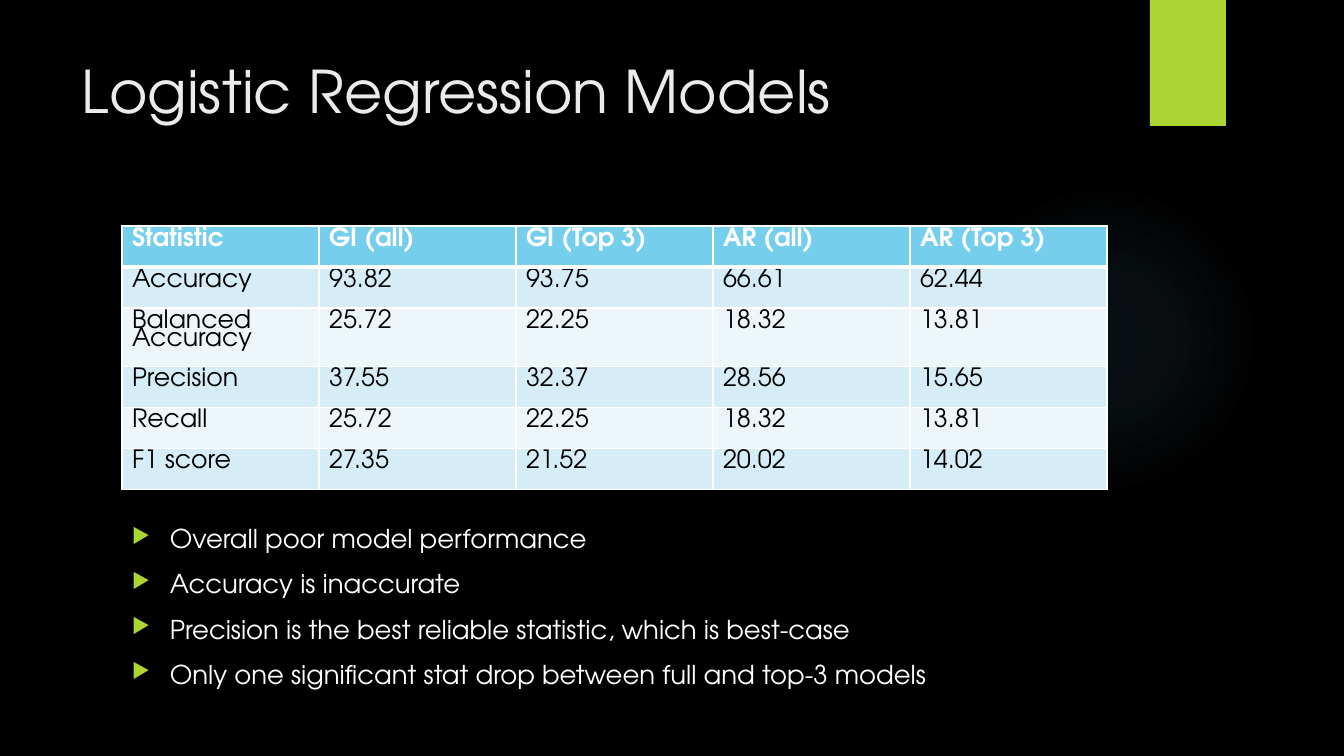
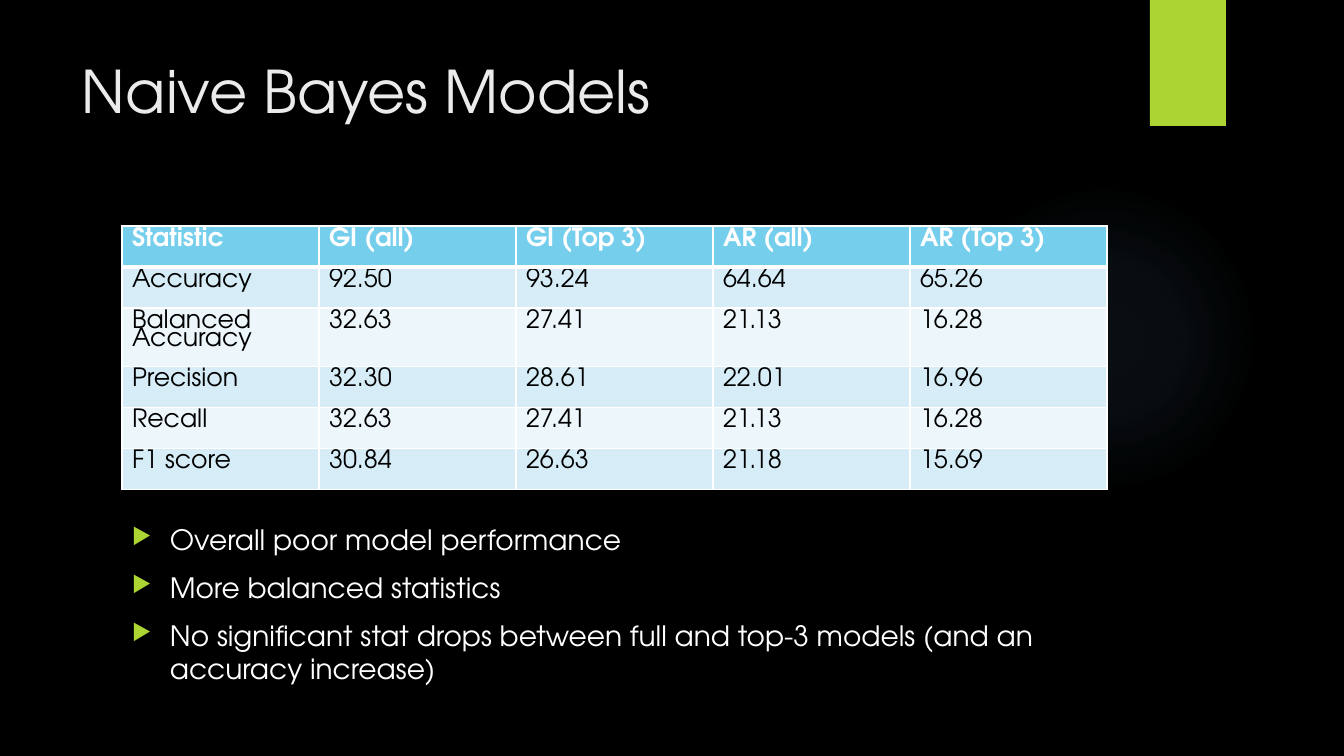
from lxml import etree
from pptx import Presentation
from pptx.dml.color import RGBColor
from pptx.enum.shapes import MSO_SHAPE
from pptx.oxml import parse_xml
from pptx.oxml.ns import qn
from pptx.util import Emu, Pt

OVAL, RECTANGLE = MSO_SHAPE.OVAL, MSO_SHAPE.RECTANGLE
BLACK = RGBColor(0x00, 0x00, 0x00)
WHITE = RGBColor(0xFF, 0xFF, 0xFF)
TITLE_GREY = RGBColor(0xEB, 0xEB, 0xEB)
LIME = RGBColor(0xAC, 0xD4, 0x33)
GLOW_BLUE = RGBColor(0x7A, 0xC4, 0xF0)
HEADER_BLUE = RGBColor(0x75, 0xCE, 0xEC)
BANDS = (RGBColor(0xD6, 0xED, 0xF8), RGBColor(0xEC, 0xF6, 0xFB))

FONT = "TeX Gyre Adventor"
NAMESPACE = "http://schemas.openxmlformats.org/drawingml/2006/main"
PAGE_SIZE = (1344, 756)
GLOW_BOX = (949, 184, 310, 310)
TAB_BOX = (1150, 0, 76, 126)
TITLE_BOX = (72, 50, 1037, 154)
TABLE_BOX = (122, 226, 985, 246)
BULLET_BOX = (122, 518, 986, 190)
BULLET_INDENT = 38
GLOW_STOPS = ((0, 7), (36, 6), (69, 0))

HEADINGS = ("Statistic", "GI (all)", "GI (Top 3)", "AR (all)", "AR (Top 3)")
SLIDES = (
    {
        "title": "Logistic Regression Models",
        "rows": (
            ("Accuracy", "93.82", "93.75", "66.61", "62.44"),
            ("Balanced Accuracy", "25.72", "22.25", "18.32", "13.81"),
            ("Precision", "37.55", "32.37", "28.56", "15.65"),
            ("Recall", "25.72", "22.25", "18.32", "13.81"),
            ("F1 score", "27.35", "21.52", "20.02", "14.02"),
        ),
        "bullets": (
            "Overall poor model performance",
            "Accuracy is inaccurate",
            "Precision is the best reliable statistic, which is best-case",
            "Only one significant stat drop between full and top-3 models",
        ),
        "bullet_size": 18.5,
    },
    {
        "title": "Naive Bayes Models",
        "rows": (
            ("Accuracy", "92.50", "93.24", "64.64", "65.26"),
            ("Balanced Accuracy", "32.63", "27.41", "21.13", "16.28"),
            ("Precision", "32.30", "28.61", "22.01", "16.96"),
            ("Recall", "32.63", "27.41", "21.13", "16.28"),
            ("F1 score", "30.84", "26.63", "21.18", "15.69"),
        ),
        "bullets": (
            "Overall poor model performance",
            "More balanced statistics",
            "No significant stat drops between full and top-3 models "
            "(and an accuracy increase)",
        ),
        "bullet_size": 20,
    },
)


def px(length):
    """Turn pixels into EMU."""
    return Emu(round(length * 12192000 / PAGE_SIZE[0]))


def place(box):
    """Turn a pixel box into EMU."""
    return [px(length) for length in box]


def write(para, text, size, color, bold=False):
    """Add one formatted run to a paragraph."""
    span = para.add_run()
    span.text = text
    formats = {"name": FONT, "size": Pt(size), "bold": bold}
    for name, value in formats.items():
        setattr(span.font, name, value)
    span.font.color.rgb = color


def add_plain_shape(page, kind, box):
    """Add a preset shape without line or shadow."""
    shape = page.shapes.add_shape(kind, *place(box))
    shape.shadow.inherit = False
    shape.line.fill.background()
    return shape


def add_text_frame(page, box):
    """Add a wrapping text box and return its frame."""
    frame = page.shapes.add_textbox(*place(box)).text_frame
    frame.word_wrap = True
    return frame


def add_glow(page, box):
    """Add the faint round glow."""
    glow = add_plain_shape(page, OVAL, box)
    stops = "".join(
        f'<a:gs pos="{position * 1000}"><a:srgbClr val="{GLOW_BLUE}">'
        f'<a:alpha val="{alpha * 1000}"/></a:srgbClr></a:gs>'
        for position, alpha in GLOW_STOPS
    )
    gradient = parse_xml(
        f'<a:gradFill xmlns:a="{NAMESPACE}" rotWithShape="1"><a:gsLst>{stops}</a:gsLst>'
        '<a:path path="circle"><a:fillToRect l="50000" t="50000" r="50000" b="50000"/>'
        "</a:path></a:gradFill>"
    )
    properties = glow.fill._xPr
    properties.find(qn("a:prstGeom")).addnext(gradient)


def add_frame(page, title):
    """Add the background, glow, lime tab and title."""
    page.background.fill.solid()
    page.background.fill.fore_color.rgb = BLACK
    add_glow(page, GLOW_BOX)
    tab = add_plain_shape(page, RECTANGLE, TAB_BOX)
    tab.fill.solid()
    tab.fill.fore_color.rgb = LIME
    write(add_text_frame(page, TITLE_BOX).paragraphs[0], title, 42, TITLE_GREY)


def set_borders(cell, top, bottom):
    """Draw white cell borders with the given top and bottom widths."""
    properties = cell._tc.get_or_add_tcPr()
    widths = {"lnL": 1, "lnR": 1, "lnT": top, "lnB": bottom}
    for index, (side, width) in enumerate(widths.items()):
        line = parse_xml(
            f'<a:{side} xmlns:a="{NAMESPACE}" w="{Pt(width)}"><a:solidFill>'
            f'<a:srgbClr val="{WHITE}"/></a:solidFill></a:{side}>'
        )
        properties.insert(index, line)


def add_statistics(page, box, rows):
    """Add the banded table of statistics."""
    lines = (HEADINGS, *rows)
    table = page.shapes.add_table(len(lines), len(HEADINGS), *place(box)).table
    for column in table.columns:
        column.width = px(box[2] // len(HEADINGS))
    for row_index, values in enumerate(lines):
        header = row_index == 0
        table.rows[row_index].height = px(box[3] // len(lines))
        for column_index, value in enumerate(values):
            cell = table.cell(row_index, column_index)
            cell.fill.solid()
            cell.fill.fore_color.rgb = HEADER_BLUE if header else BANDS[(row_index - 1) % 2]
            set_borders(cell, 3 if row_index == 1 else 1, 3 if header else 1)
            para = cell.text_frame.paragraphs[0]
            para.line_spacing = 0.8
            write(para, value, 18, WHITE if header else BLACK, header)


def add_bullets(page, box, texts, size):
    """Add the list with lime arrow bullets."""
    frame = add_text_frame(page, box)
    for index, text in enumerate(texts):
        para = frame.add_paragraph() if index else frame.paragraphs[0]
        properties = para._p.get_or_add_pPr()
        properties.set("marL", str(px(BULLET_INDENT)))
        properties.set("indent", str(-px(BULLET_INDENT)))
        color = etree.SubElement(properties, qn("a:buClr"))
        etree.SubElement(color, qn("a:srgbClr"), val=str(LIME))
        etree.SubElement(properties, qn("a:buSzPct"), val="80000")
        etree.SubElement(properties, qn("a:buChar"), char="▶")
        if index:
            para.space_before = Pt(10)
        write(para, text, size, WHITE)


def add_model_slide(deck, content):
    """Add one slide about a family of models."""
    page = deck.slides.add_slide(deck.slide_layouts[6])
    add_frame(page, content["title"])
    add_statistics(page, TABLE_BOX, content["rows"])
    add_bullets(page, BULLET_BOX, content["bullets"], content["bullet_size"])


def main():
    """Build and save the deck."""
    deck = Presentation()
    deck.slide_width, deck.slide_height = place(PAGE_SIZE)
    for content in SLIDES:
        add_model_slide(deck, content)
    deck.save("out.pptx")


if __name__ == "__main__":
    main()
